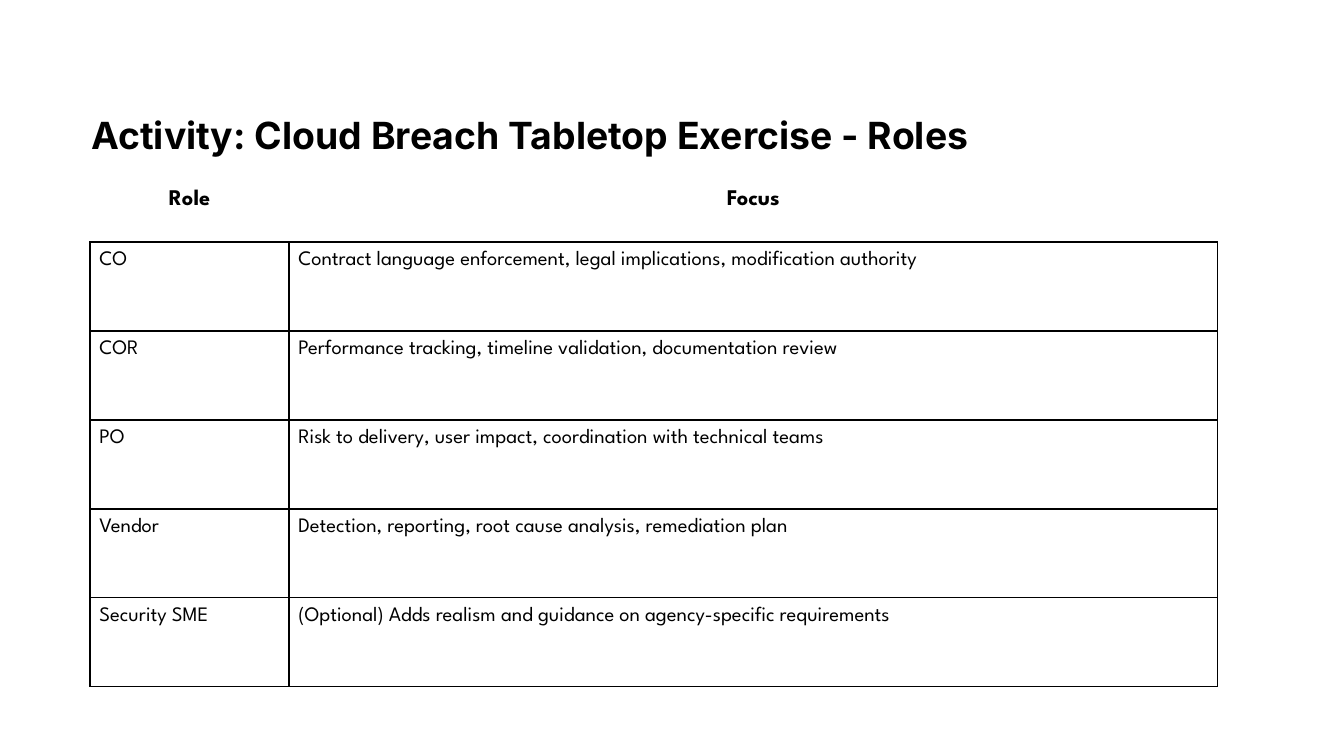
from dataclasses import dataclass

import lxml.etree
import pptx
import pptx.dml.color
import pptx.enum.text
import pptx.oxml.ns
import pptx.util

Inches = pptx.util.Inches
Pt = pptx.util.Pt

COLORS = {"ink": "000000", "paper": "FFFFFF"}
BORDER_SIDES = ("lnL", "lnR", "lnT", "lnB")
CELL_INSET = Inches(0.07)


@dataclass(frozen=True)
class TextStyle:
    font: str
    size: int
    bold: bool
    align: pptx.enum.text.PP_ALIGN = pptx.enum.text.PP_ALIGN.LEFT


@dataclass(frozen=True)
class RoleEntry:
    role: str
    focus: str


TITLE_STYLE = TextStyle("Inter", 20, True)
HEADER_STYLE = TextStyle("League Spartan", 12, True, pptx.enum.text.PP_ALIGN.CENTER)
BODY_STYLE = TextStyle("League Spartan", 11, False)

HEADER = RoleEntry("Role", "Focus")
ROLES = [
    RoleEntry("CO", "Contract language enforcement, legal implications, modification authority"),
    RoleEntry("COR", "Performance tracking, timeline validation, documentation review"),
    RoleEntry("PO", "Risk to delivery, user impact, coordination with technical teams"),
    RoleEntry("Vendor", "Detection, reporting, root cause analysis, remediation plan"),
    RoleEntry("Security SME", "(Optional) Adds realism and guidance on agency-specific requirements"),
]
COLUMN_WIDTHS = (1.48, 6.91)
TABLE_HEIGHT = 3.77
HEADER_HEIGHT = 0.46
ROLE_HEIGHT = (TABLE_HEIGHT - HEADER_HEIGHT) / len(ROLES)
ROW_HEIGHTS = [HEADER_HEIGHT] + [ROLE_HEIGHT] * len(ROLES)


def write_text(frame: pptx.text.text.TextFrame, text: str, style: TextStyle) -> None:
    paragraph = frame.paragraphs[0]
    paragraph.alignment = style.align
    run = paragraph.add_run()
    run.text = text
    run.font.name = style.font
    run.font.size = Pt(style.size)
    run.font.bold = style.bold
    run.font.color.rgb = pptx.dml.color.RGBColor.from_string(COLORS["ink"])


def set_borders(cell: pptx.table._Cell, visible: tuple[str, ...]) -> None:
    qn = pptx.oxml.ns.qn
    properties = cell._tc.get_or_add_tcPr()
    for side in BORDER_SIDES:
        line = lxml.etree.SubElement(properties, qn(f"a:{side}"), w=str(Pt(1)))
        if side in visible:
            fill = lxml.etree.SubElement(line, qn("a:solidFill"))
            lxml.etree.SubElement(fill, qn("a:srgbClr"), val=COLORS["ink"])
        else:
            lxml.etree.SubElement(line, qn("a:noFill"))


def fill_cell(
    cell: pptx.table._Cell, text: str, style: TextStyle, borders: tuple[str, ...]
) -> None:
    cell.margin_left = cell.margin_right = CELL_INSET
    cell.margin_top = cell.margin_bottom = CELL_INSET
    set_borders(cell, borders)
    cell.fill.background()
    write_text(cell.text_frame, text, style)


def add_title(slide: pptx.slide.Slide, text: str) -> None:
    title = slide.shapes.add_textbox(Inches(0.58), Inches(0.67), Inches(8.21), Inches(0.6))
    title.text_frame.word_wrap = True
    title.text_frame.vertical_anchor = pptx.enum.text.MSO_ANCHOR.MIDDLE
    write_text(title.text_frame, text, TITLE_STYLE)
    title.text_frame.paragraphs[0].line_spacing = 1.2


def add_roles_table(slide: pptx.slide.Slide) -> None:
    roles = slide.shapes.add_table(
        len(ROW_HEIGHTS), len(COLUMN_WIDTHS), Inches(0.67), Inches(1.34),
        Inches(sum(COLUMN_WIDTHS)), Inches(TABLE_HEIGHT),
    ).table
    roles.horz_banding = False
    for column, width in zip(roles.columns, COLUMN_WIDTHS):
        column.width = Inches(width)
    for row, height in zip(roles.rows, ROW_HEIGHTS):
        row.height = Inches(height)
    for row_index, entry in enumerate([HEADER, *ROLES]):
        style = BODY_STYLE if row_index else HEADER_STYLE
        borders = BORDER_SIDES if row_index else ("lnB",)
        for column_index, text in enumerate((entry.role, entry.focus)):
            fill_cell(roles.cell(row_index, column_index), text, style, borders)


def main() -> None:
    deck = pptx.Presentation()
    deck.slide_width = Inches(10)
    deck.slide_height = Inches(10 * 9 / 16)
    slide = deck.slides.add_slide(deck.slide_layouts[6])
    slide.background.fill.solid()
    slide.background.fill.fore_color.rgb = pptx.dml.color.RGBColor.from_string(COLORS["paper"])
    add_title(slide, "Activity: Cloud Breach Tabletop Exercise - Roles")
    add_roles_table(slide)
    deck.save("out.pptx")


if __name__ == "__main__":
    main()
